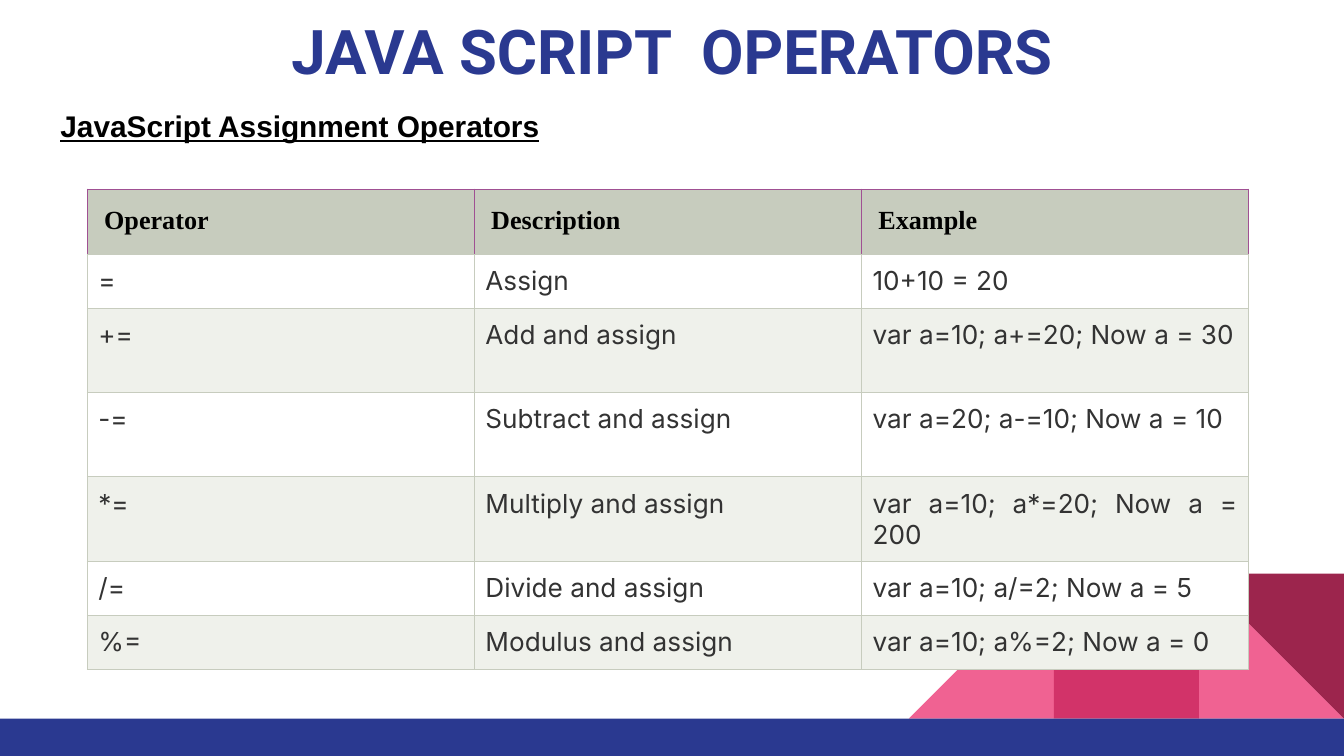
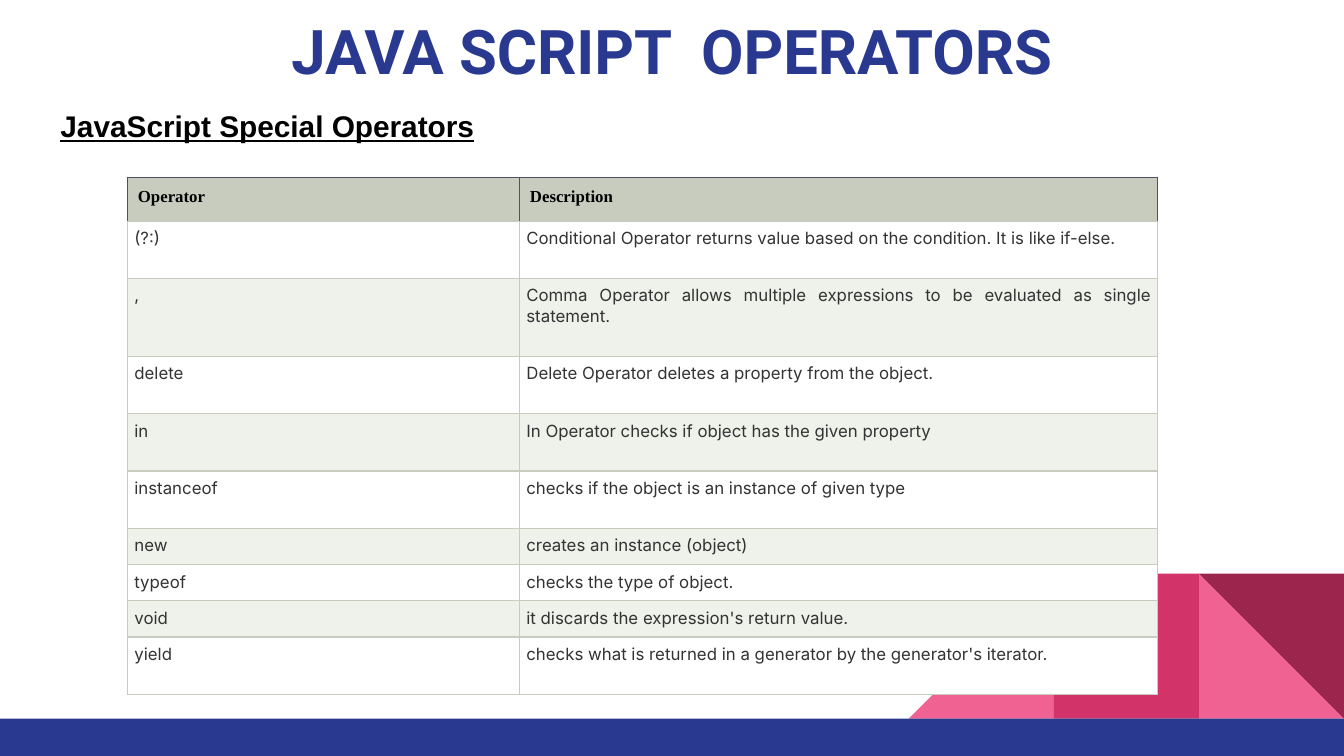
from dataclasses import dataclass

from lxml.etree import SubElement
from pptx import Presentation
from pptx.dml.color import RGBColor
from pptx.enum.shapes import MSO_SHAPE as Shape
from pptx.enum.text import MSO_ANCHOR as Anchor, PP_ALIGN as Align
from pptx.oxml.ns import qn
from pptx.util import Pt

TITLE = "JAVA SCRIPT  OPERATORS"

SECTIONS = [
    {
        "heading": "JavaScript Assignment Operators",
        "left": 46.8, "top": 101.4,
        "columns": [207.4, 207.4, 207.4],
        "heights": [34.8, 28.9, 45.2, 45.2, 45.2, 28.9, 28.9],
        "size": 14, "head_inset": 9, "body_inset": 5.9, "head_line": "A05093",
        "rows": [
            ("Operator", "Description", "Example"),
            ("=", "Assign", "10+10 = 20"),
            ("+=", "Add and assign", "var a=10; a+=20; Now a = 30"),
            ("-=", "Subtract and assign", "var a=20; a-=10; Now a = 10"),
            ("*=", "Multiply and assign", "var a=10; a*=20; Now a = 200"),
            ("/=", "Divide and assign", "var a=10; a/=2; Now a = 5"),
            ("%=", "Modulus and assign", "var a=10; a%=2; Now a = 0"),
        ],
    },
    {
        "heading": "JavaScript Special Operators",
        "left": 68.2, "top": 95,
        "columns": [210, 341.8],
        "heights": [23.5, 30.7, 41.8, 30.7, 30.7, 30.7, 19.4, 19.4, 19.4, 30.7],
        "size": 9, "head_inset": 5.7, "body_inset": 3.8, "head_line": "50506A",
        "rows": [
            ("Operator", "Description"),
            ("(?:)", "Conditional Operator returns value based on the condition. It is like if-else."),
            (",", "Comma Operator allows multiple expressions to be evaluated as single statement."),
            ("delete", "Delete Operator deletes a property from the object."),
            ("in", "In Operator checks if object has the given property"),
            ("instanceof", "checks if the object is an instance of given type"),
            ("new", "creates an instance (object)"),
            ("typeof", "checks the type of object."),
            ("void", "it discards the expression's return value."),
            ("yield", "checks what is returned in a generator by the generator's iterator."),
        ],
    },
]


@dataclass(frozen=True)
class Theme:
    width: float = 720
    height: float = 405
    tile: float = 77.7
    band: float = 20
    navy: str = "2A3990"
    pink: str = "F06292"
    rose: str = "D23369"
    wine: str = "9C254D"
    black: str = "000000"
    ink: str = "333333"
    sage: str = "C7CCBE"
    stripes: tuple = ("EFF1EB", "FFFFFF")
    title_font: str = "Roboto"
    heading_font: str = "Arial"
    head_font: str = "Times New Roman"
    body_font: str = "Inter"
    title_size: float = 33
    heading_size: float = 16
    rule: float = 0.75


THEME = Theme()


def add_span(para, text, font, size, color, bold=False, underline=False):
    span = para.add_run()
    span.text = text
    span.font.name = font
    span.font.size = Pt(size)
    span.font.color.rgb = RGBColor.from_string(color)
    span.font.bold = bold
    span.font.underline = underline


def set_insets(target, inset):
    """Give a cell or a text frame the same margin on all sides."""
    target.margin_left = target.margin_right = Pt(inset)
    target.margin_top = target.margin_bottom = Pt(inset)


def add_block(page, kind, left, top, width, height, color):
    block = page.shapes.add_shape(kind, Pt(left), Pt(top), Pt(width), Pt(height))
    block.shadow.inherit = False
    block.fill.solid()
    block.fill.fore_color.rgb = RGBColor.from_string(color)
    block.line.fill.background()
    return block


def add_corner(page):
    """Draw the row of tiles at the lower right and the band below it."""
    tile, floor = THEME.tile, THEME.height - THEME.band
    tiles = [
        (Shape.RIGHT_TRIANGLE, 1, THEME.pink, False, 0),
        (Shape.RIGHT_TRIANGLE, 3, THEME.pink, True, 0),
        (Shape.RECTANGLE, 2, THEME.rose, False, 0),
        (Shape.RIGHT_TRIANGLE, 1, THEME.wine, False, 180),
    ]
    for kind, place, color, mirrored, turn in tiles:
        block = add_block(page, kind, THEME.width - place * tile, floor - tile, tile, tile, color)
        block.rotation = turn
        if mirrored:
            block._element.spPr.find(qn("a:xfrm")).set("flipH", "1")
    add_block(page, Shape.RECTANGLE, 0, floor, THEME.width, THEME.band, THEME.navy)


def add_line_of_text(page, left, top, width, height, align, text, *style):
    box = page.shapes.add_textbox(Pt(left), Pt(top), Pt(width), Pt(height))
    frame = box.text_frame
    frame.word_wrap = True
    frame.vertical_anchor = Anchor.TOP
    set_insets(frame, 7.2)
    para = frame.paragraphs[0]
    para.alignment = align
    add_span(para, text, *style)


def set_borders(cell, side_color, bottom_color):
    props = cell._tc.get_or_add_tcPr()
    sides = [("a:lnL", side_color), ("a:lnR", side_color), ("a:lnT", side_color), ("a:lnB", bottom_color)]
    for place, (tag, color) in enumerate(sides):
        line = SubElement(props, qn(tag), w=str(Pt(THEME.rule)))
        fill = SubElement(line, qn("a:solidFill"))
        SubElement(fill, qn("a:srgbClr"), val=color)
        props.insert(place, line)


def fill_cell(cell, text, row, section):
    is_head = row == 0
    cell.fill.solid()
    cell.fill.fore_color.rgb = RGBColor.from_string(THEME.sage if is_head else THEME.stripes[row % 2])
    set_insets(cell, section["head_inset" if is_head else "body_inset"])
    cell.vertical_anchor = Anchor.TOP
    para = cell.text_frame.paragraphs[0]
    para.alignment = Align.LEFT if is_head else Align.JUSTIFY
    font, color = (THEME.head_font, THEME.black) if is_head else (THEME.body_font, THEME.ink)
    add_span(para, text, font, section["size"], color, is_head)
    set_borders(cell, section["head_line"] if is_head else THEME.sage, THEME.sage)


def add_operator_table(page, section):
    rows, columns, heights = section["rows"], section["columns"], section["heights"]
    table = page.shapes.add_table(
        len(rows), len(columns), Pt(section["left"]), Pt(section["top"]),
        Pt(sum(columns)), Pt(sum(heights))).table
    table.first_row = table.horz_banding = False
    for column, width in zip(table.columns, columns):
        column.width = Pt(width)
    for index, (height, texts) in enumerate(zip(heights, rows)):
        table.rows[index].height = Pt(height)
        for place, text in enumerate(texts):
            fill_cell(table.cell(index, place), text, index, section)


def main():
    deck = Presentation()
    deck.slide_width, deck.slide_height = Pt(THEME.width), Pt(THEME.height)
    for section in SECTIONS:
        page = deck.slides.add_slide(deck.slide_layouts[6])
        add_corner(page)
        add_line_of_text(page, 0, 0, THEME.width, 47.5, Align.CENTER, TITLE,
                         THEME.title_font, THEME.title_size, THEME.navy, True)
        add_line_of_text(page, 25.3, 50.6, 669.6, 33.8, Align.LEFT, section["heading"],
                         THEME.heading_font, THEME.heading_size, THEME.black, True, True)
        add_operator_table(page, section)
    deck.save("out.pptx")


if __name__ == "__main__":
    main()
